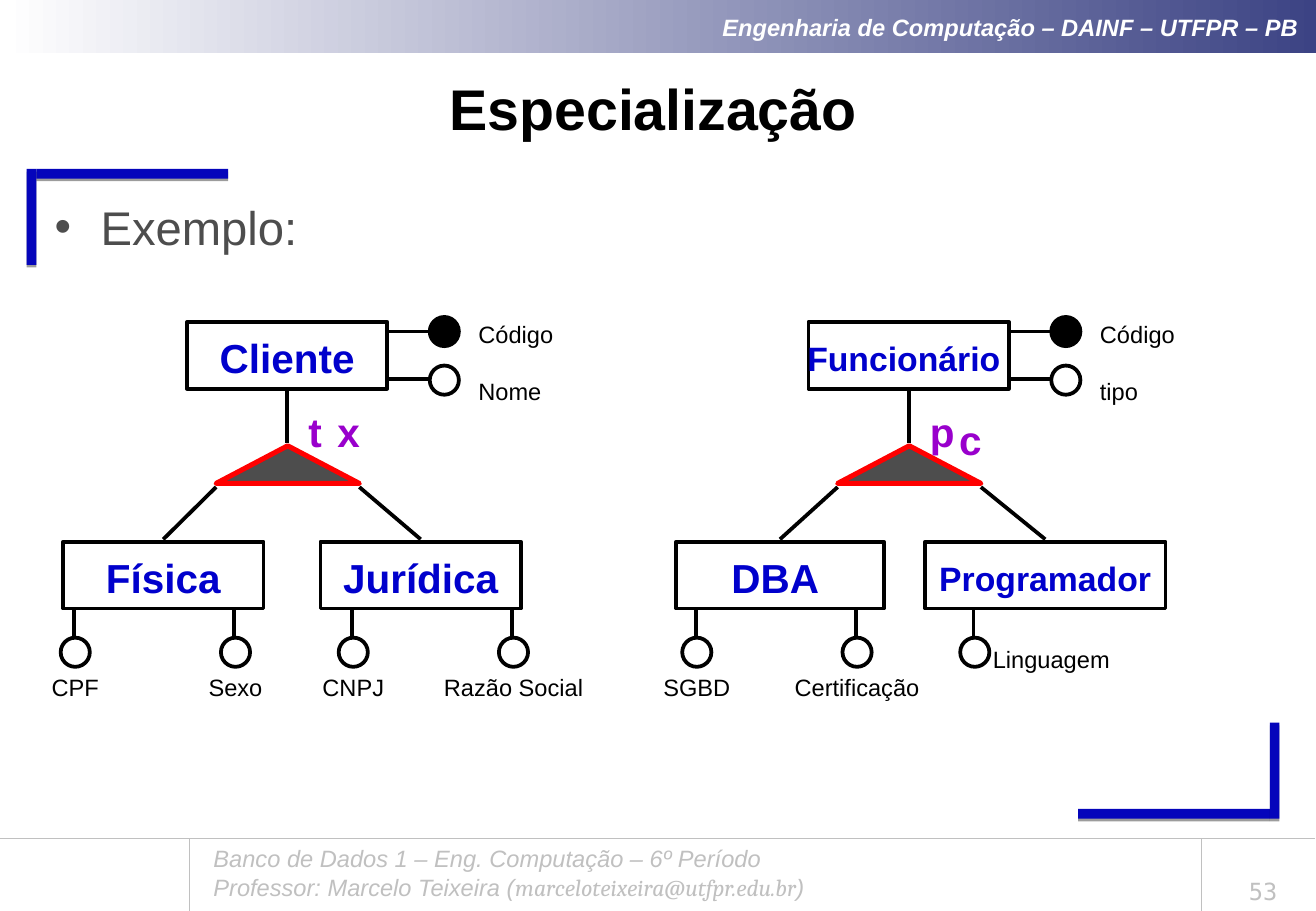
from lxml.etree import SubElement
from pptx import Presentation
from pptx.dml.color import RGBColor
from pptx.enum.shapes import MSO_CONNECTOR, MSO_SHAPE
from pptx.enum.text import MSO_ANCHOR, PP_ALIGN
from pptx.oxml.ns import qn
from pptx.util import Inches, Pt

HEADER = "Engenharia de Computação – DAINF – UTFPR – PB "
TITLE = "Especialização"
BULLET = "Exemplo:"
COURSE = "Banco de Dados 1 – Eng. Computação – 6º Período"
TEACHER = [("Professor: Marcelo Teixeira (", "Arial"),
           ("marceloteixeira@utfpr.edu.br", "Cambria"), (")", "Arial")]
PAGE = "53"

BLACK, WHITE, GRAY, SILVER = "000000", "FFFFFF", "4D4D4D", "C0C0C0"
NAVY, BLUE, PURPLE, RED = "0505BB", "0000CC", "9900CC", "FF0000"

# Subtype: name, left, width, font size, [(attribute, stem x, label dx, label top)]
UNDER = (-0.63, 5.48)
BESIDE = (0, 5.25)
TREES = [
    {"left": 1.54, "entity": ("Cliente", 24), "attributes": ["Código", "Nome"],
     "constraints": [("t", 3.28), ("x", 3.28)],
     "subtypes": [
         ("Física", 0.52, 1.65, 24, [("CPF", 0.61, *UNDER), ("Sexo", 1.93, *UNDER)]),
         ("Jurídica", 2.64, 1.65, 24,
          [("CNPJ", 2.9, *UNDER), ("Razão Social", 4.22, *UNDER)])]},
    {"left": 6.66, "entity": ("Funcionário ", 20), "attributes": ["Código", "tipo"],
     "constraints": [("p", 3.28), ("c", 3.35)],
     "subtypes": [
         ("DBA ", 5.57, 1.71, 24,
          [("SGBD", 5.73, *UNDER), ("Certificação", 7.05, *UNDER)]),
         ("Programador", 7.62, 1.98, 20, [("Linguagem", 8.02, *BESIDE)])]},
]
# Corner brackets: left, top, width, height
BRACKETS = [(8.88, 6.66, 1.58, 0.08), (10.46, 5.95, 0.08, 0.79),
            (0.3, 1.39, 1.58, 0.08), (0.22, 1.39, 0.08, 0.79)]
FOOTER_LINES = [(1.56, 6.9, 1.56, 7.5), (9.9, 6.9, 9.9, 7.5)]

ENTITY_TOP, SUBTYPE_TOP, BOX_HEIGHT, ENTITY_WIDTH = 2.65, 4.46, 0.55, 1.65
CIRCLE = 0.24

prs = Presentation()
prs.slide_width, prs.slide_height = Inches(10.84), Inches(7.5)
slide = prs.slides.add_slide(prs.slide_layouts[6])
shapes = slide.shapes


def rgb(color):
    return RGBColor.from_string(color)


def style_run(run, size, color, font="Arial", bold=False, italic=False):
    run.font.name, run.font.size = font, Pt(size)
    run.font.bold, run.font.italic = bold, italic
    run.font.color.rgb = rgb(color)


def write(shape, text, size, color, align=PP_ALIGN.LEFT, anchor=MSO_ANCHOR.TOP,
          insets=(0.1, 0.05, 0.1, 0.05), wrap=True, **style):
    frame = shape.text_frame
    frame.text = text
    frame.word_wrap, frame.vertical_anchor = wrap, anchor
    (frame.margin_left, frame.margin_top,
     frame.margin_right, frame.margin_bottom) = map(Inches, insets)
    frame.paragraphs[0].alignment = align
    style_run(frame.paragraphs[0].runs[0], size, color, **style)
    return frame


def add_text(left, top, width, height, *args, **options):
    box = shapes.add_textbox(*map(Inches, (left, top, width, height)))
    return write(box, *args, **options)


def add_figure(kind, left, top, width, height, fill, line=None, weight=2.25):
    figure = shapes.add_shape(kind, *map(Inches, (left, top, width, height)))
    figure.shadow.inherit = False
    figure.fill.solid()
    figure.fill.fore_color.rgb = rgb(fill)
    if line:
        figure.line.color.rgb = rgb(line)
        figure.line.width = Pt(weight)
    else:
        figure.line.fill.background()
    return figure


def add_line(x1, y1, x2, y2, color=BLACK, weight=2.25):
    line = shapes.add_connector(MSO_CONNECTOR.STRAIGHT, *map(Inches, (x1, y1, x2, y2)))
    line.line.color.rgb = rgb(color)
    line.line.width = Pt(weight)
    SubElement(line._element.spPr, qn("a:effectLst"))


def add_drop_shadow(figure):
    effects = figure._element.spPr.find(qn("a:effectLst"))
    shadow = SubElement(effects, qn("a:outerShdw"), blurRad="0",
                        dist=str(Pt(1.6)), dir="5400000", rotWithShape="0")
    color = SubElement(shadow, qn("a:srgbClr"), val=BLACK)
    SubElement(color, qn("a:alpha"), val="38000")


def add_box(name, left, top, width, size):
    box = add_figure(MSO_SHAPE.RECTANGLE, left, top, width, BOX_HEIGHT, WHITE, BLACK)
    write(box, name, size, BLUE, PP_ALIGN.CENTER, MSO_ANCHOR.MIDDLE,
          (0.04, 0.08, 0.04, 0.04), wrap=False, bold=True)


def add_circle(left, top, fill=WHITE):
    add_figure(MSO_SHAPE.OVAL, left, top, CIRCLE, CIRCLE, fill, BLACK)


def add_label(text, left, top, align=PP_ALIGN.LEFT):
    add_text(left, top, 1.28, 0.31, text, 14, BLACK, align,
             insets=(0.04, 0.06, 0.04, 0.04))


def add_subtype(name, left, width, size, attributes):
    for label, stem, label_dx, label_top in attributes:
        add_line(stem, 4.93, stem, 5.33)
        add_label(label, stem + label_dx, label_top, PP_ALIGN.CENTER)
        add_circle(stem - 0.11, 5.25)
    add_box(name, left, SUBTYPE_TOP, width, size)


def add_tree(left, entity, attributes, constraints, subtypes):
    middle = left + ENTITY_WIDTH / 2
    add_line(middle, 3.21, middle, 3.65)
    add_figure(MSO_SHAPE.ISOSCELES_TRIANGLE, left + 0.24, 3.67, 1.18, 0.31, GRAY, RED, 3)
    for corner, subtype in zip((left + 0.24, left + 1.42), subtypes):
        add_line(corner, 4.01, subtype[1] + subtype[2] / 2, 4.44)
        add_subtype(*subtype)
    rows = [(2.73, 2.61, 2.57, BLACK), (3.12, 3.01, 3.04, WHITE)]
    for label, (line_y, circle_top, label_top, fill) in zip(attributes, rows):
        add_line(left + 1.49, line_y, left + 2.05, line_y)
        add_circle(left + 2, circle_top, fill)
        add_label(label, left + 2.36, label_top)
    name, size = entity
    add_box(name, left, ENTITY_TOP, ENTITY_WIDTH, size)
    for i, (letter, top) in enumerate(constraints):
        add_text(left + 0.96 + 0.24 * i, top, 0.47, 0.48, letter, 24, PURPLE,
                 insets=(0.04, 0.07, 0.04, 0.04), bold=True)


header = add_figure(MSO_SHAPE.RECTANGLE, 0.02, 0, 10.83, 0.44, WHITE)
header.fill.gradient()
header.fill.gradient_angle = 0
for stop, color, position in zip(header.fill.gradient_stops, (WHITE, "3C4384"), (0, 1)):
    stop.color.rgb = rgb(color)
    stop.position = position
write(header, HEADER, 14, WHITE, PP_ALIGN.RIGHT, MSO_ANCHOR.MIDDLE, bold=True, italic=True)

for bracket in BRACKETS:
    add_drop_shadow(add_figure(MSO_SHAPE.RECTANGLE, *bracket, NAVY))

for ends in FOOTER_LINES:
    add_line(*ends, SILVER, 0.75)
add_line(0, 6.9, 10.83, 6.9, SILVER, 0.25)
footer = add_text(1.66, 6.9, 7.54, 0.57, COURSE, 14, SILVER, italic=True)
teacher_line = footer.add_paragraph()
for text, font in TEACHER:
    run = teacher_line.add_run()
    run.text = text
    style_run(run, 14, SILVER, font, italic=True)
add_text(9.97, 7.11, 0.87, 0.39, PAGE, 14, SILVER, PP_ALIGN.CENTER,
         MSO_ANCHOR.BOTTOM, font="DejaVu Sans Mono")

add_text(0.22, 0.54, 10.32, 0.69, TITLE, 34, BLACK, PP_ALIGN.CENTER,
         MSO_ANCHOR.MIDDLE, bold=True)
body = add_text(0.38, 1.54, 10, 5.04, BULLET, 28, GRAY, insets=(0.07, 0.09, 0.1, 0.05))
bullet = body.paragraphs[0]._p.get_or_add_pPr()
bullet.set("marL", str(Inches(0.38)))
bullet.set("indent", str(Inches(-0.38)))
SubElement(SubElement(bullet, qn("a:buClr")), qn("a:srgbClr"), val=GRAY)
SubElement(bullet, qn("a:buFont"), typeface="Arial")
SubElement(bullet, qn("a:buChar"), char="•")

for tree in TREES:
    add_tree(**tree)

prs.save("out.pptx")
